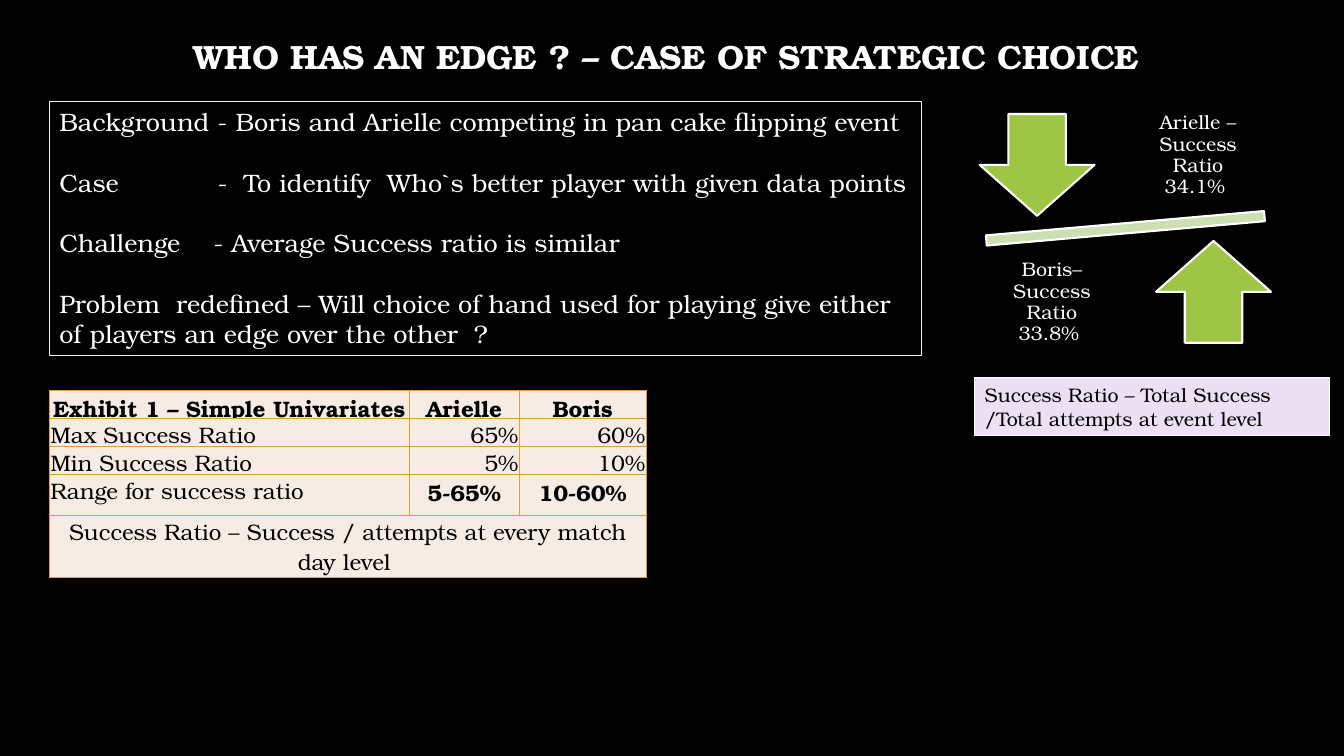
from dataclasses import dataclass
from typing import Optional

import lxml.etree
import pptx
import pptx.dml.color
import pptx.enum.shapes
import pptx.enum.text
import pptx.oxml.ns
import pptx.util

Pt = pptx.util.Pt
Shape = pptx.enum.shapes.MSO_SHAPE
Align = pptx.enum.text.PP_ALIGN
Anchor = pptx.enum.text.MSO_ANCHOR
qn = pptx.oxml.ns.qn


@dataclass(frozen=True)
class Theme:
    font: str = "TeX Gyre Bonum"
    background: str = "000000"
    light: str = "FFFFFF"
    dark: str = "000000"
    frame: str = "F2F2F2"
    arrow: str = "9EC544"
    beam: str = "CCDFB0"
    note: str = "EBE0F4"
    cell: str = "F7ECE4"
    border: str = "DE9C3C"
    title_size: float = 24
    body_size: float = 18
    table_size: float = 16
    label_size: float = 14


@dataclass(frozen=True)
class Box:
    left: float
    top: float
    width: float
    height: float

    def lengths(self) -> list:
        return [Pt(v) for v in (self.left, self.top, self.width, self.height)]


@dataclass(frozen=True)
class Figure:
    kind: int
    box: Box
    fill: Optional[str]
    line: str
    weight: float
    rotation: float = 0


@dataclass(frozen=True)
class Label:
    text: str
    box: Box
    size: float
    anchor: int
    bold: bool = False
    inset: Optional[float] = None


@dataclass(frozen=True)
class Statement:
    text: str
    tab: Optional[float] = None


@dataclass(frozen=True)
class Entry:
    text: str
    align: int
    bold: bool = False


THEME = Theme()
BLANK_LINE = 21.6

TITLE = Label("WHO HAS AN EDGE ? – CASE OF STRATEGIC CHOICE ",
              Box(35.3, 12.2, 889.2, 46), THEME.title_size, Anchor.BOTTOM, bold=True)
RATIOS = [
    Label("Arielle – Success Ratio 34.1% ", Box(812.2, 72.7, 87.1, 76.3),
          THEME.label_size, Anchor.MIDDLE, inset=7.9),
    Label("Boris– Success Ratio 33.8% ", Box(707.8, 177.8, 87.1, 76.3),
          THEME.label_size, Anchor.MIDDLE, inset=7.9),
]
BALANCE = [
    Figure(Shape.MATH_MINUS, Box(668.2, 147.6, 271.4, 31), THEME.beam, THEME.light, 1.5, 355),
    Figure(Shape.DOWN_ARROW, Box(699.8, 81.4, 82.1, 72.7), THEME.arrow, THEME.light, 1.5),
    Figure(Shape.UP_ARROW, Box(825.8, 172.1, 82.1, 72.7), THEME.arrow, THEME.light, 1.5),
]
CASE_FRAME = Figure(Shape.RECTANGLE, Box(35.3, 72.7, 622.8, 181.4), None, THEME.frame, 0.75)
CASE = [
    Statement("Background - Boris and Arielle competing in pan cake flipping event"),
    Statement("Case\t-  To identify  Who`s better player with given data points", 113),
    Statement("Challenge\t- Average Success ratio is similar", 110),
    Statement("Problem  redefined – Will choice of hand used for playing give "
              "either of players an edge over the other  ?"),
]
NOTE_FRAME = Figure(Shape.RECTANGLE, Box(696.2, 270, 253.4, 41), THEME.note, THEME.light, 0.75)
NOTE = [Statement("Success Ratio – Total Success /Total attempts at event level")]

EXHIBIT_BOX = Box(35.3, 279.2, 426.7, 132.5)
COLUMNS = [257, 78.6, 90.7]
ROWS = [18, 18, 18, 29.5, 43.9]
EXHIBIT = [
    [Entry(t, Align.CENTER, True) for t in ("Exhibit 1 – Simple Univariates", "Arielle", "Boris")],
    [Entry("Max Success Ratio", Align.LEFT), Entry("65%", Align.RIGHT), Entry("60%", Align.RIGHT)],
    [Entry("Min Success Ratio", Align.LEFT), Entry("5%", Align.RIGHT), Entry("10%", Align.RIGHT)],
    [Entry("Range for success ratio", Align.LEFT), Entry("5-65%", Align.CENTER, True),
     Entry("10-60%", Align.CENTER, True)],
    [Entry("Success Ratio – Success / attempts at every match day level ", Align.CENTER)],
]


def rgb(value: str) -> pptx.dml.color.RGBColor:
    return pptx.dml.color.RGBColor.from_string(value)


def format_runs(paragraph, size: float, color: str, bold: bool = False) -> None:
    for run in paragraph.runs:
        run.font.name = THEME.font
        run.font.size = Pt(size)
        run.font.bold = bold
        run.font.color.rgb = rgb(color)


def draw_figure(slide, figure: Figure):
    drawn = slide.shapes.add_shape(figure.kind, *figure.box.lengths())
    drawn.shadow.inherit = False
    drawn.rotation = figure.rotation
    if figure.fill:
        drawn.fill.solid()
        drawn.fill.fore_color.rgb = rgb(figure.fill)
    else:
        drawn.fill.background()
    drawn.line.color.rgb = rgb(figure.line)
    drawn.line.width = Pt(figure.weight)
    return drawn


def draw_label(slide, label: Label) -> None:
    frame = slide.shapes.add_textbox(*label.box.lengths()).text_frame
    frame.word_wrap = True
    frame.vertical_anchor = label.anchor
    if label.inset is not None:
        frame.margin_left = frame.margin_right = Pt(label.inset)
        frame.margin_top = frame.margin_bottom = Pt(label.inset)
    frame.text = label.text
    paragraph = frame.paragraphs[0]
    paragraph.alignment = Align.CENTER
    paragraph.line_spacing = 0.9
    format_runs(paragraph, label.size, THEME.light, label.bold)


def draw_statements(slide, figure: Figure, statements: list[Statement],
                    size: float, color: str) -> None:
    frame = draw_figure(slide, figure).text_frame
    frame.word_wrap = True
    frame.vertical_anchor = Anchor.TOP
    frame.text = "\n".join(s.text for s in statements)
    for paragraph, statement in zip(frame.paragraphs, statements):
        paragraph.alignment = Align.LEFT
        paragraph.space_after = Pt(0 if statement is statements[-1] else BLANK_LINE)
        format_runs(paragraph, size, color)
        if statement.tab:
            stops = lxml.etree.SubElement(paragraph._p.get_or_add_pPr(), qn("a:tabLst"))
            lxml.etree.SubElement(stops, qn("a:tab"), pos=str(Pt(statement.tab)), algn="l")


def style_cell(cell) -> None:
    cell.fill.solid()
    cell.fill.fore_color.rgb = rgb(THEME.cell)
    cell.margin_left = cell.margin_right = cell.margin_top = Pt(0.7)
    cell.margin_bottom = Pt(0)
    properties = cell._tc.get_or_add_tcPr()
    for index, side in enumerate(("a:lnL", "a:lnR", "a:lnT", "a:lnB")):
        edge = lxml.etree.Element(qn(side), w=str(Pt(1)))
        fill = lxml.etree.SubElement(edge, qn("a:solidFill"))
        lxml.etree.SubElement(fill, qn("a:srgbClr"), val=THEME.border)
        properties.insert(index, edge)


def draw_exhibit(slide) -> None:
    exhibit = slide.shapes.add_table(len(ROWS), len(COLUMNS), *EXHIBIT_BOX.lengths()).table
    for column, width in zip(exhibit.columns, COLUMNS):
        column.width = Pt(width)
    for row, height in zip(exhibit.rows, ROWS):
        row.height = Pt(height)
    for cell in exhibit.iter_cells():
        style_cell(cell)
    exhibit.cell(4, 0).merge(exhibit.cell(4, 2))
    for r, entries in enumerate(EXHIBIT):
        for c, entry in enumerate(entries):
            frame = exhibit.cell(r, c).text_frame
            frame.text = entry.text
            frame.paragraphs[0].alignment = entry.align
            format_runs(frame.paragraphs[0], THEME.table_size, THEME.dark, entry.bold)


def main() -> None:
    deck = pptx.Presentation()
    deck.slide_width, deck.slide_height = Pt(960), Pt(540)
    slide = deck.slides.add_slide(deck.slide_layouts[6])
    slide.background.fill.solid()
    slide.background.fill.fore_color.rgb = rgb(THEME.background)
    # Title
    draw_label(slide, TITLE)
    # Balance of success ratios
    for figure in BALANCE:
        draw_figure(slide, figure)
    for label in RATIOS:
        draw_label(slide, label)
    # Case description, exhibit and definition
    draw_statements(slide, CASE_FRAME, CASE, THEME.body_size, THEME.light)
    draw_exhibit(slide)
    draw_statements(slide, NOTE_FRAME, NOTE, THEME.label_size, THEME.dark)
    deck.save("out.pptx")


if __name__ == "__main__":
    main()
